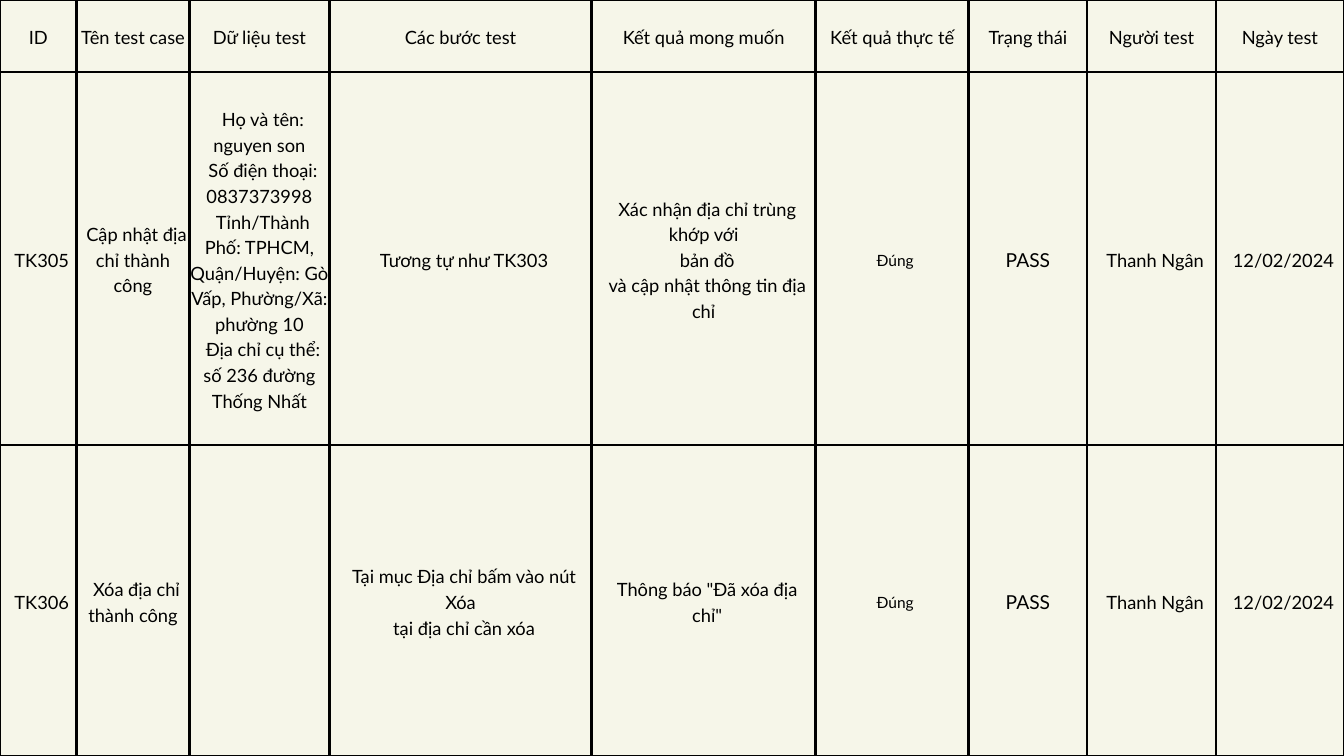
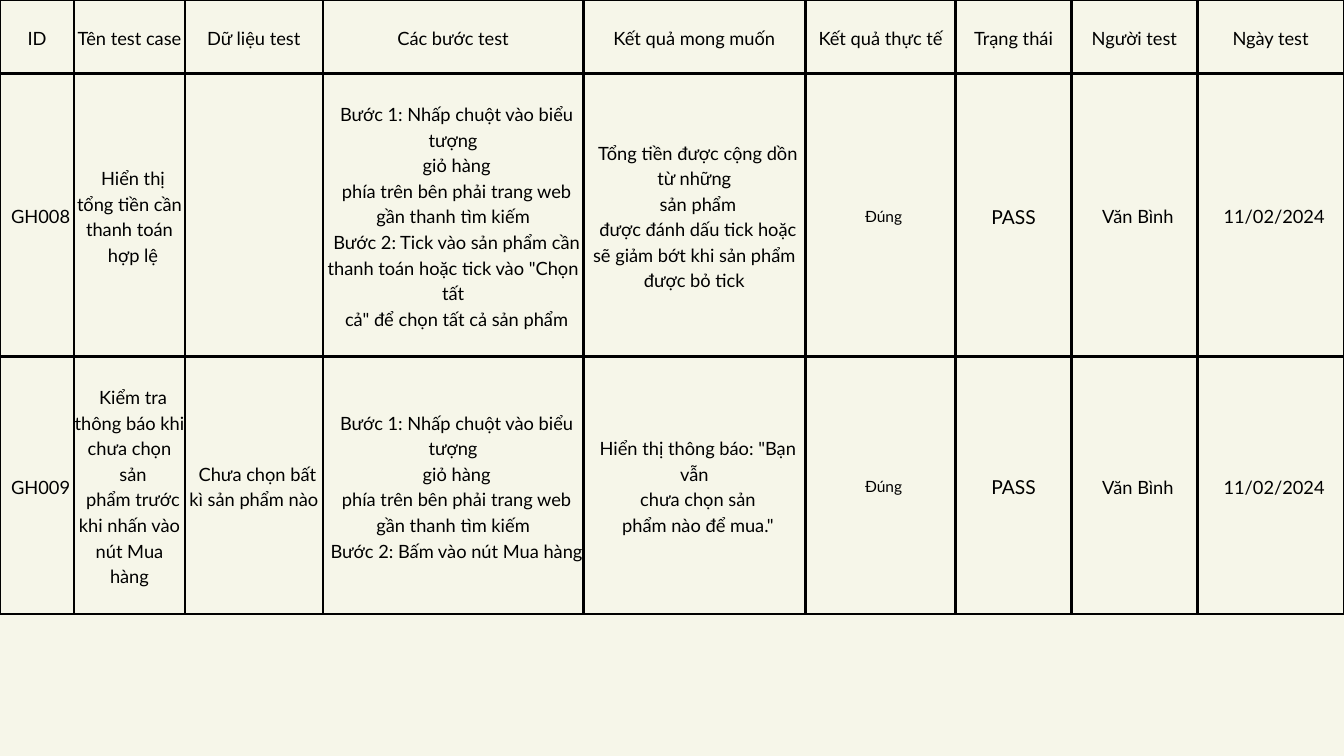
from lxml.etree import SubElement
from pptx import Presentation
from pptx.dml.color import RGBColor
from pptx.enum.text import MSO_ANCHOR as Anchor, PP_ALIGN as Align
from pptx.oxml.ns import qn
from pptx.util import Pt

# Shared style
PAPER, INK = "F6F6E9", "000000"
FONT = "Lato"
BODY = dict(size=19.6, spacing=27.4)
RESULT = dict(size=16.6, spacing=23.2)
STATUS = dict(size=20.6, spacing=28.8)
HEADINGS = ["ID", "Tên test case", "Dữ liệu test", "Các bước test",
            "Kết quả mong muốn", "Kết quả thực tế", "Trạng thái",
            "Người test", "Ngày test"]
RESULT_COLUMN = HEADINGS.index("Kết quả thực tế")
STATUS_COLUMN = HEADINGS.index("Trạng thái")


def colour(value):
    return RGBColor.from_string(value)


def write(cell, text, size, spacing, indented=False):
    """Fill a cell with one centred paragraph for each line of text."""
    frame = cell.text_frame
    for number, line in enumerate(text.split("\n")):
        para = frame.add_paragraph() if number else frame.paragraphs[0]
        para.alignment = Align.CENTER
        para.line_spacing = Pt(spacing)
        if indented:
            # First-line indent, in proportion to the text size
            properties = para._p.get_or_add_pPr()
            properties.set("marL", "0")
            properties.set("indent", str(Pt(size * 0.386)))
        span = para.add_run()
        span.text = line
        span.font.name = FONT
        span.font.size = Pt(size)
        span.font.color.rgb = colour(INK)


class TestReport:
    def __init__(self):
        self.deck = Presentation()
        self.deck.slide_width, self.deck.slide_height = Pt(1440), Pt(810)
        fill = self.deck.slide_master.background.fill
        fill.solid()
        fill.fore_color.rgb = colour(PAPER)
        self.page = None

    def add_page(self):
        self.page = self.deck.slides.add_slide(self.deck.slide_layouts[6])

    def borders(self, cell, width=3):
        properties = cell._tc.get_or_add_tcPr()
        for side in ("lnL", "lnR", "lnT", "lnB"):
            line = SubElement(properties, qn(f"a:{side}"), w=str(Pt(width)))
            fill = SubElement(line, qn("a:solidFill"))
            SubElement(fill, qn("a:srgbClr"), val=INK)

    def cell(self, cell, text, **style):
        cell.margin_left = cell.margin_right = 0
        cell.margin_top = cell.margin_bottom = 0
        cell.vertical_anchor = Anchor.MIDDLE
        self.borders(cell)
        cell.fill.background()
        if text:
            write(cell, text, **style)

    def case_table(self, widths, heights, cases):
        rows = [HEADINGS, *cases]
        table = self.page.shapes.add_table(
            len(rows), len(HEADINGS), 0, 0,
            Pt(sum(widths)), Pt(sum(heights))).table
        table.first_row = table.horz_banding = False
        for column, width in zip(table.columns, widths):
            column.width = Pt(width)
        for row, height in zip(table.rows, heights):
            row.height = Pt(height)
        styles = {RESULT_COLUMN: RESULT, STATUS_COLUMN: STATUS}
        for r, texts in enumerate(rows):
            for c, text in enumerate(texts):
                style = styles.get(c, BODY) if r else BODY
                self.cell(table.cell(r, c), text, **style,
                          indented=r > 0 and c != STATUS_COLUMN)


def test_case(code, name, data, steps, expected, tester, date):
    return [code, name, data, steps, expected, "Đúng", "PASS", tester, date]


# Address book cases
ADDRESS_RUN = dict(tester="Thanh Ngân", date="12/02/2024")
ADDRESS_CASES = [
    test_case(
        "TK305", "Cập nhật địa chỉ thành công",
        "Họ và tên: nguyen son\n"
        "Số điện thoại: 0837373998\n"
        "Tỉnh/Thành Phố: TPHCM, Quận/Huyện: Gò Vấp, Phường/Xã: phường 10\n"
        "Địa chỉ cụ thể: số 236 đường Thống Nhất",
        "Tương tự như TK303",
        "Xác nhận địa chỉ trùng khớp với\nbản đồ\n"
        "và cập nhật thông tin địa chỉ",
        **ADDRESS_RUN),
    test_case(
        "TK306", "Xóa địa chỉ thành công", "",
        "Tại mục Địa chỉ bấm vào nút Xóa\ntại địa chỉ cần xóa",
        'Thông báo "Đã xóa địa\nchỉ"',
        **ADDRESS_RUN),
]

# Shopping cart cases
CART_RUN = dict(tester="Văn Bình", date="11/02/2024")
OPEN_CART = ("Bước 1: Nhấp chuột vào biểu tượng\ngiỏ hàng\n"
             "phía trên bên phải trang web gần thanh tìm kiếm\n")
CART_CASES = [
    test_case(
        "GH008", "Hiển thị tổng tiền cần thanh toán\nhợp lệ", "",
        OPEN_CART +
        'Bước 2: Tick vào sản phẩm cần thanh toán hoặc tick vào "Chọn tất\n'
        'cả" để chọn tất cả sản phẩm',
        "Tổng tiền được cộng dồn từ những\nsản phẩm\n"
        "được đánh dấu tick hoặc sẽ giảm bớt khi sản phẩm được bỏ tick",
        **CART_RUN),
    test_case(
        "GH009",
        "Kiểm tra thông báo khi chưa chọn\nsản\n"
        "phẩm trước khi nhấn vào nút Mua hàng",
        "Chưa chọn bất kì sản phẩm nào",
        OPEN_CART + "Bước 2: Bấm vào nút Mua hàng",
        'Hiển thị thông báo: "Bạn vẫn\nchưa chọn sản\nphẩm nào để mua."',
        **CART_RUN),
]


def main():
    report = TestReport()

    # Slide 1: address book
    report.add_page()
    report.case_table([82, 121, 150, 281, 240, 164, 127, 138, 137],
                      [77, 400, 333], ADDRESS_CASES)

    # Slide 2: shopping cart
    report.add_page()
    report.case_table([79.5, 118.5, 148, 279, 238, 161, 124, 135, 157],
                      [79, 303, 276], CART_CASES)

    report.deck.save("out.pptx")


if __name__ == "__main__":
    main()
